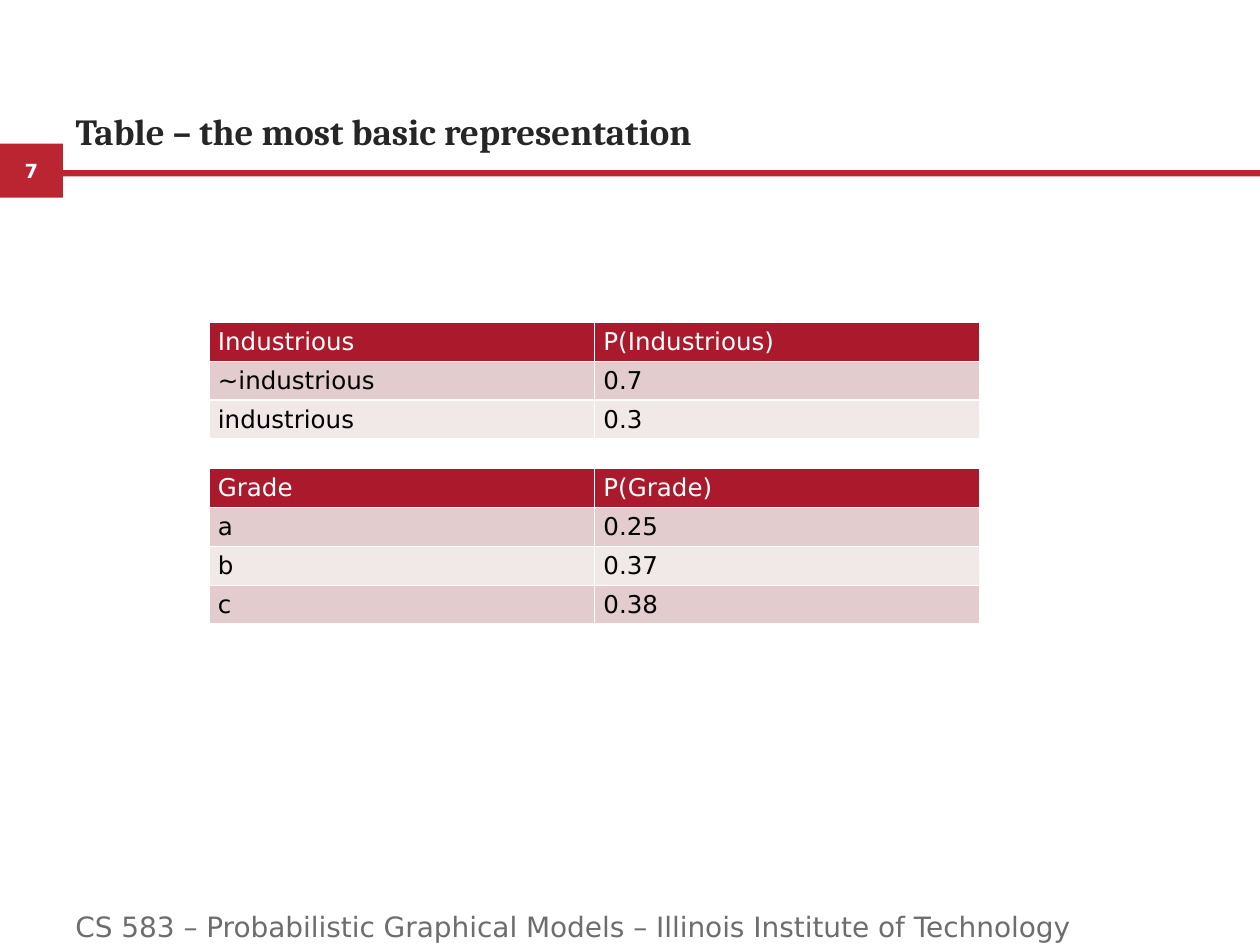
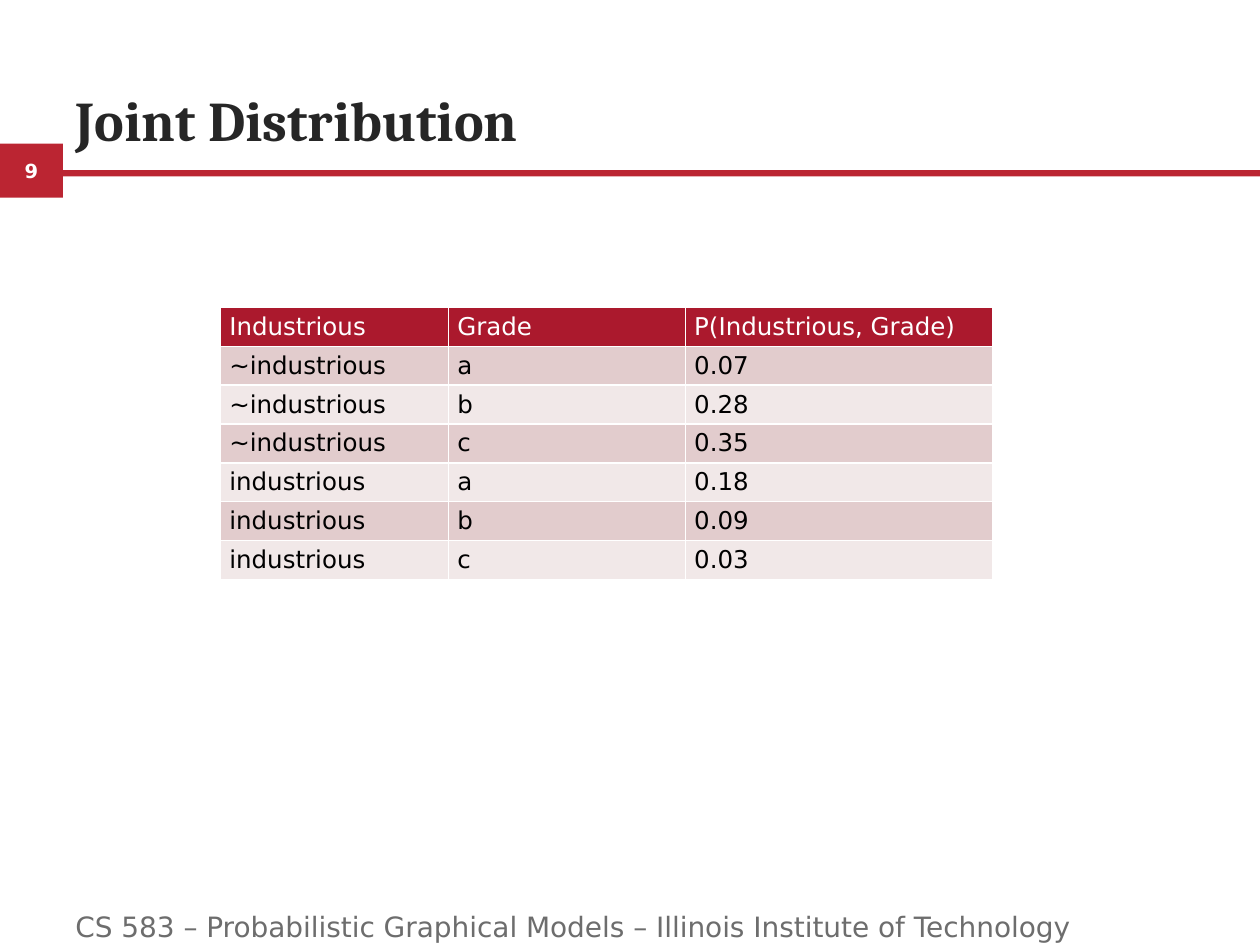
from dataclasses import dataclass

import pptx
import pptx.dml.color
import pptx.enum.shapes
import pptx.enum.text
import pptx.oxml
import pptx.oxml.ns
import pptx.presentation
import pptx.slide
import pptx.table
import pptx.text.text
import pptx.util

Inches = pptx.util.Inches
Pt = pptx.util.Pt
RGBColor = pptx.dml.color.RGBColor
Align = pptx.enum.text.PP_ALIGN
Anchor = pptx.enum.text.MSO_ANCHOR

# Shared style
BAND_RED = RGBColor(0xBB, 0x25, 0x32)
HEADER_RED = RGBColor(0xAB, 0x19, 0x2D)
ROW_FILLS = (RGBColor(0xE2, 0xCC, 0xCD), RGBColor(0xF1, 0xE8, 0xE8))
TITLE_INK = RGBColor(0x26, 0x26, 0x26)
FOOTER_GREY = RGBColor(0x6D, 0x6D, 0x6D)
WHITE = RGBColor(0xFF, 0xFF, 0xFF)
BLACK = RGBColor(0, 0, 0)
TITLE_FONT = "Cambria"
BODY_FONT = "DejaVu Sans"
FOOTER = "CS 583 – Probabilistic Graphical Models – Illinois Institute of Technology"
ROW_HEIGHT = Inches(0.3)
TITLE_ONLY = 5


@dataclass
class ProbabilityTable:
    left: float
    top: float
    col_widths: tuple[float, ...]
    rows: list[tuple[str, ...]]


@dataclass
class TableSlide:
    number: int
    title: str
    title_size: float
    tables: list[ProbabilityTable]


def style_text(p: pptx.text.text._Paragraph, size: float, color: RGBColor,
               font: str = BODY_FONT, bold: bool = False) -> None:
    for r in p.runs:
        r.font.name = font
        r.font.size = Pt(size)
        r.font.bold = bold
        r.font.color.rgb = color


def add_band(s: pptx.slide.Slide, left: float, top: float, width: float,
             height: float, text: str = "") -> None:
    sp = s.shapes.add_shape(pptx.enum.shapes.MSO_SHAPE.RECTANGLE,
                            Inches(left), Inches(top), Inches(width), Inches(height))
    sp.shadow.inherit = False
    sp.fill.solid()
    sp.fill.fore_color.rgb = BAND_RED
    sp.line.fill.background()
    if text:
        tf = sp.text_frame
        tf.text = text
        tf.vertical_anchor = Anchor.MIDDLE
        tf.paragraphs[0].alignment = Align.CENTER
        style_text(tf.paragraphs[0], 11.1, WHITE, bold=True)


def set_title(s: pptx.slide.Slide, text: str, size: float) -> None:
    sp = s.shapes.title
    sp.left, sp.top = Inches(0.5), Inches(0.38)
    sp.width, sp.height = Inches(9), Inches(0.88)
    tf = sp.text_frame
    tf.text = text
    tf.auto_size = pptx.enum.text.MSO_AUTO_SIZE.NONE
    tf.vertical_anchor = Anchor.BOTTOM
    tf.paragraphs[0].alignment = Align.LEFT
    style_text(tf.paragraphs[0], size, TITLE_INK, TITLE_FONT, bold=True)


def add_footer(s: pptx.slide.Slide) -> None:
    sp = s.shapes.add_textbox(Inches(0.5), Inches(7.17), Inches(9.08), Inches(0.33))
    tf = sp.text_frame
    tf.word_wrap = True
    tf.text = FOOTER
    style_text(tf.paragraphs[0], 16, FOOTER_GREY)


def set_borders(cell: pptx.table._Cell) -> None:
    props = cell._tc.get_or_add_tcPr()
    for i, side in enumerate(("lnL", "lnR", "lnT", "lnB")):
        props.insert(i, pptx.oxml.parse_xml(
            f'<a:{side} {pptx.oxml.ns.nsdecls("a")} w="{Pt(1)}"><a:solidFill>'
            f'<a:srgbClr val="{WHITE}"/></a:solidFill></a:{side}>'))


def add_probability_table(s: pptx.slide.Slide, spec_table: ProbabilityTable) -> None:
    rows, widths = spec_table.rows, spec_table.col_widths
    table = s.shapes.add_table(
        len(rows), len(widths), Inches(spec_table.left), Inches(spec_table.top),
        Inches(sum(widths)), ROW_HEIGHT * len(rows)).table
    for column, width in zip(table.columns, widths):
        column.width = Inches(width)
    for i, row in enumerate(rows):
        table.rows[i].height = ROW_HEIGHT
        for j, text in enumerate(row):
            cell = table.cell(i, j)
            cell.text = text
            cell.margin_left = cell.margin_right = Inches(0.07)
            cell.margin_top = cell.margin_bottom = Inches(0.04)
            cell.fill.solid()
            cell.fill.fore_color.rgb = ROW_FILLS[(i - 1) % 2] if i else HEADER_RED
            style_text(cell.text_frame.paragraphs[0], 14, BLACK if i else WHITE)
            set_borders(cell)


def add_table_slide(prs: pptx.presentation.Presentation, content: TableSlide) -> None:
    s = prs.slides.add_slide(prs.slide_layouts[TITLE_ONLY])
    add_band(s, 0, 1.14, 0.5, 0.43, str(content.number))
    add_band(s, 0.5, 1.35, 9.5, 0.05)
    set_title(s, content.title, content.title_size)
    for table in content.tables:
        add_probability_table(s, table)
    add_footer(s)


# Slide content
SLIDES = [
    TableSlide(7, "Table – the most basic representation", 21, [
        ProbabilityTable(1.66, 2.56, (3.06, 3.06), [
            ("Industrious", "P(Industrious)"),
            ("~industrious", "0.7"),
            ("industrious", "0.3"),
        ]),
        ProbabilityTable(1.66, 3.72, (3.06, 3.06), [
            ("Grade", "P(Grade)"),
            ("a", "0.25"),
            ("b", "0.37"),
            ("c", "0.38"),
        ]),
    ]),
    TableSlide(9, "Joint Distribution", 32, [
        ProbabilityTable(1.75, 2.44, (1.81, 1.88, 2.44), [
            ("Industrious", "Grade", "P(Industrious, Grade)"),
            ("~industrious", "a", "0.07"),
            ("~industrious", "b", "0.28"),
            ("~industrious", "c", "0.35"),
            ("industrious", "a", "0.18"),
            ("industrious", "b", "0.09"),
            ("industrious", "c", "0.03"),
        ]),
    ]),
]


def main() -> None:
    prs = pptx.Presentation()
    prs.slide_width, prs.slide_height = Inches(10), Inches(7.5)
    for content in SLIDES:
        add_table_slide(prs, content)
    prs.save("out.pptx")


if __name__ == "__main__":
    main()
